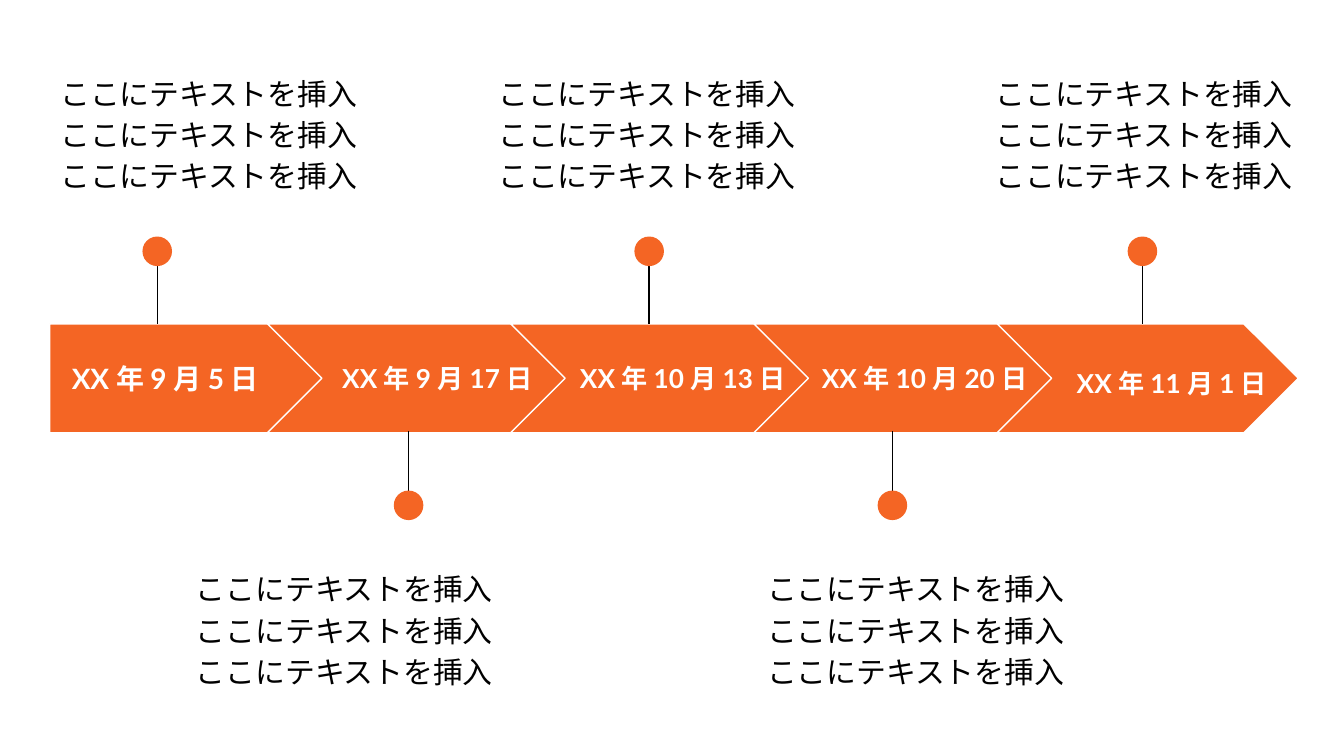
from pptx import Presentation
from pptx.util import Inches, Pt
from pptx.dml.color import RGBColor
from pptx.enum.shapes import MSO_SHAPE as Geo, MSO_CONNECTOR as Link
from pptx.enum.text import PP_ALIGN as Align, MSO_ANCHOR as Anchor
from pptx.oxml.ns import qn
from lxml.etree import SubElement

WIDE = 10
HIGH = WIDE * 9 / 16
ORANGE, WHITE, BLACK = "F46524", "FFFFFF", "000000"
NOTE = " ".join(["ここにテキストを挿入"] * 3)

STEPS = [
    {"date": "XX 年 9 月 5 日", "box": (0.37, 2.56, 1.72, 0.51), "size": 15, "gap": 1, "pin": 1.17, "note": 0.35},
    {"date": "XX 年 9 月 17 日", "box": (2.33, 2.56, 1.85, 0.51), "size": 14, "gap": 1, "pin": 3.04, "note": 1.36},
    {"date": "XX 年 10 月 13 日", "box": (4.12, 2.56, 1.92, 0.51), "size": 14, "gap": 1, "pin": 4.83, "note": 3.61},
    {"date": "XX 年 10 月 20 日", "box": (5.92, 2.56, 1.92, 0.51), "size": 14, "gap": 1, "pin": 6.64, "note": 5.61},
    {"date": "XX 年 11 月 1 日", "box": (7.78, 2.58, 1.88, 0.51), "size": 14, "gap": 1.15, "pin": 8.5, "note": 7.31},
]
FIRST, NEXT, PITCH = 0.37, 1.99, 1.81
BAND, TALL, DOT = 2.41, 0.81, 0.22
ABOVE = {"note": 0.42, "dot": 1.76, "far": 1.8, "near": 2.41}
BELOW = {"note": 4.11, "dot": 3.65, "far": 3.82, "near": 3.21}

deck = Presentation()
deck.slide_width, deck.slide_height = Inches(WIDE), Inches(HIGH)
shapes = deck.slides.add_slide(deck.slide_layouts[6]).shapes


def tint(code):
    return RGBColor.from_string(code)


def inch(*nums):
    return [Inches(n) for n in nums]


def block(geo, box, edge=None):
    item = shapes.add_shape(geo, *inch(*box))
    item.shadow.inherit = False
    item.fill.solid()
    item.fill.fore_color.rgb = tint(ORANGE)
    if edge:
        item.line.color.rgb = tint(edge)
        item.line.width = Pt(0.75)
    else:
        item.line.fill.background()


def stem(x, top, end):
    item = shapes.add_connector(Link.STRAIGHT, *inch(x, top, x, end))
    item.line.color.rgb = tint(BLACK)
    item.line.width = Pt(0.75)
    SubElement(item._element.spPr, qn("a:effectLst"))


def label(text, box, size, color, bold, align, gap, anchor):
    frame = shapes.add_textbox(*inch(*box)).text_frame
    line = frame.paragraphs[0]
    run = line.add_run()
    run.text = text
    run.font.color.rgb = tint(color)
    look = {"word_wrap": True, "vertical_anchor": anchor}
    for side in ("left", "right", "top", "bottom"):
        look["margin_" + side] = Inches(0.1)
    para = {"alignment": align, "line_spacing": gap}
    font = {"name": "Lato", "size": Pt(size), "bold": bold}
    for part, vals in ((frame, look), (line, para), (run.font, font)):
        for key, val in vals.items():
            setattr(part, key, val)


for i, step in enumerate(STEPS):
    side = BELOW if i % 2 else ABOVE
    pin = step["pin"]
    if i:
        block(Geo.CHEVRON, (NEXT + (i - 1) * PITCH, BAND, 2.24, TALL), WHITE)
    else:
        block(Geo.PENTAGON, (FIRST, BAND, 2.05, TALL), WHITE)
    stem(pin, side["far"], side["near"])
    block(Geo.OVAL, (pin - DOT / 2, side["dot"], DOT, DOT))
    label(NOTE, (step["note"], side["note"], 2.45, 0.99), 16, BLACK, False,
          Align.LEFT, 1.15, Anchor.TOP)

for step in STEPS:
    label(step["date"], step["box"], step["size"], WHITE, True,
          Align.CENTER, step["gap"], Anchor.MIDDLE)

deck.save("out.pptx")
